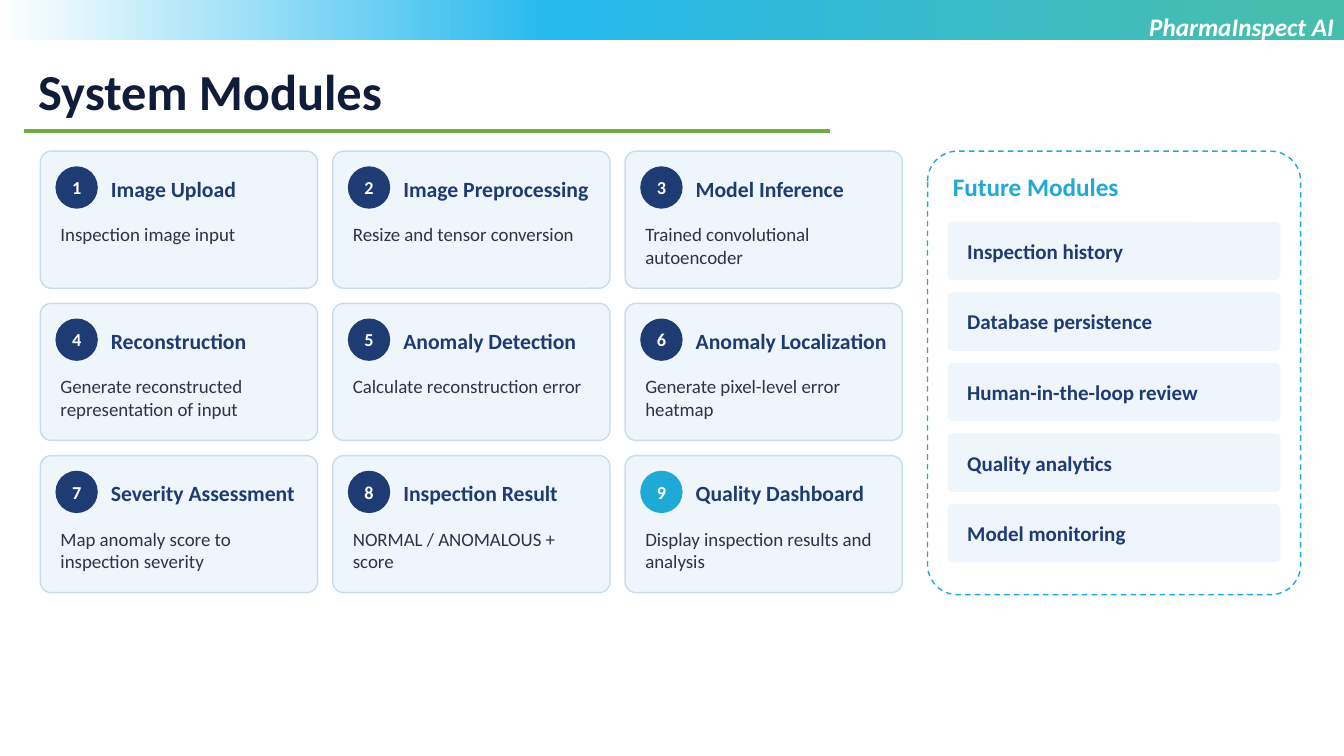
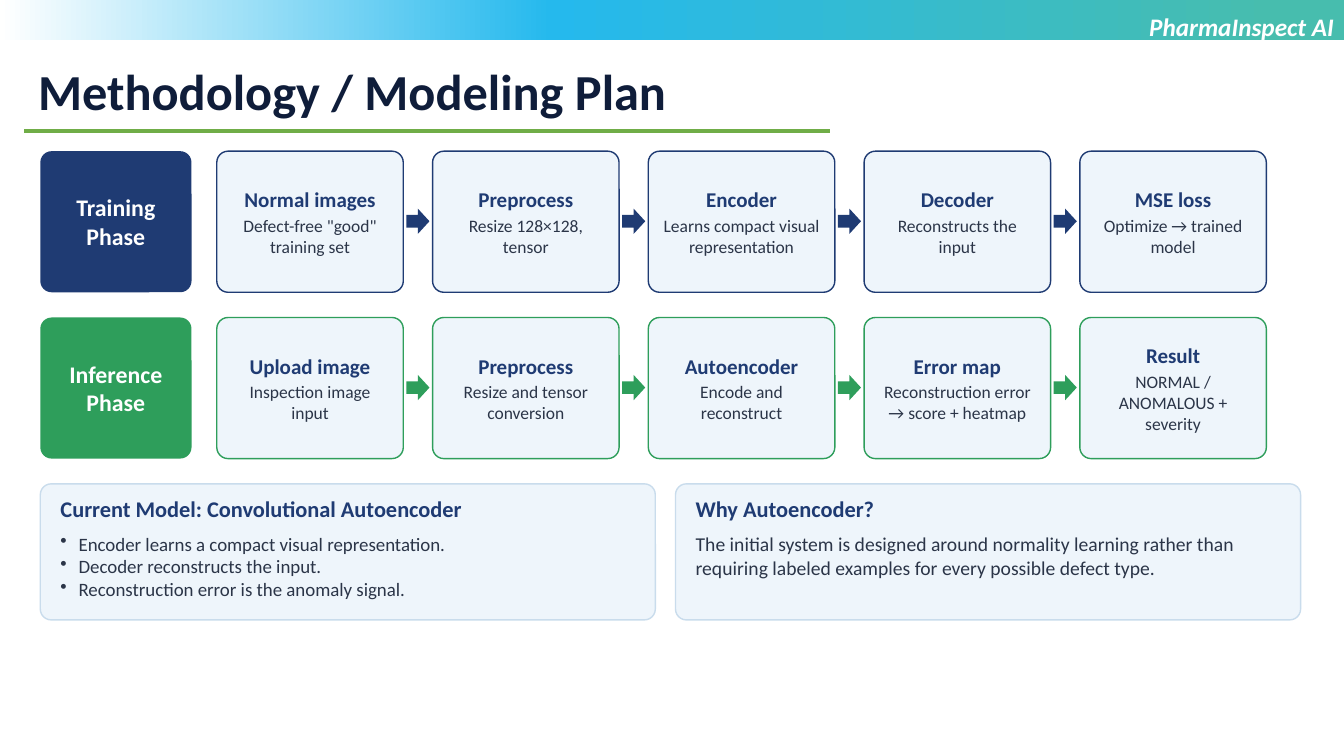
from copy import deepcopy

from lxml import etree
from pptx import Presentation
from pptx.dml.color import RGBColor
from pptx.enum.dml import MSO_LINE
from pptx.enum.shapes import MSO_CONNECTOR, MSO_SHAPE
from pptx.enum.text import MSO_ANCHOR, PP_ALIGN
from pptx.oxml.ns import qn
from pptx.util import Emu, Pt

EMU_PER_PX = 9144
SLIDE_W, SLIDE_H = 1333, 750
FONT = "Calibri"

RECT, ROUNDED = MSO_SHAPE.RECTANGLE, MSO_SHAPE.ROUNDED_RECTANGLE
OVAL, ARROW = MSO_SHAPE.OVAL, MSO_SHAPE.RIGHT_ARROW
STRAIGHT, DASH = MSO_CONNECTOR.STRAIGHT, MSO_LINE.DASH
LEFT, CENTER, RIGHT = PP_ALIGN.LEFT, PP_ALIGN.CENTER, PP_ALIGN.RIGHT
TOP, MIDDLE = MSO_ANCHOR.TOP, MSO_ANCHOR.MIDDLE

WHITE, INK, BODY = "FFFFFF", "0F1D3A", "2B3548"
NAVY, CYAN, GREEN = "1F3B73", "1FA9D6", "2E9E5B"
PALE, PALE_EDGE, RULE = "EEF5FB", "C9DCEC", "70AD47"
BAND_STOPS = [(0.05, "47BDAE"), (0.59, "25B9ED"), (1, WHITE)]

DEFAULT_INSETS = (10, 5, 10, 5)
TIGHT_INSETS = (5, 3, 5, 3)
ITEM_INSETS = (18, 3, 10, 3)
NO_INSETS = (0, 0, 0, 0)
BULLET_INDENT = 18

MODULES = [
    ("Image Upload", "Inspection image input"),
    ("Image Preprocessing", "Resize and tensor conversion"),
    ("Model Inference", "Trained convolutional autoencoder"),
    ("Reconstruction", "Generate reconstructed representation of input"),
    ("Anomaly Detection", "Calculate reconstruction error"),
    ("Anomaly Localization", "Generate pixel-level error heatmap"),
    ("Severity Assessment", "Map anomaly score to inspection severity"),
    ("Inspection Result", "NORMAL / ANOMALOUS + score"),
    ("Quality Dashboard", "Display inspection results and analysis"),
]
FUTURE_MODULES = [
    "Inspection history",
    "Database persistence",
    "Human-in-the-loop review",
    "Quality analytics",
    "Model monitoring",
]
TRAINING_STEPS = [
    ("Normal images", 'Defect-free "good" training set'),
    ("Preprocess", "Resize 128×128, tensor"),
    ("Encoder", "Learns compact visual representation"),
    ("Decoder", "Reconstructs the input"),
    ("MSE loss", "Optimize → trained model"),
]
INFERENCE_STEPS = [
    ("Upload image", "Inspection image input"),
    ("Preprocess", "Resize and tensor conversion"),
    ("Autoencoder", "Encode and reconstruct"),
    ("Error map", "Reconstruction error → score + heatmap"),
    ("Result", "NORMAL / ANOMALOUS + severity"),
]
MODEL_POINTS = [
    "Encoder learns a compact visual representation.",
    "Decoder reconstructs the input.",
    "Reconstruction error is the anomaly signal.",
]
MODEL_REASON = (
    "The initial system is designed around normality learning rather than "
    "requiring labeled examples for every possible defect type."
)


def px(*lengths):
    """Turn px lengths into EMU."""
    return [Emu(length * EMU_PER_PX) for length in lengths]


def rgb(code):
    """Turn a hex string into a colour."""
    return RGBColor.from_string(code)


def set_frame(frame, insets, anchor):
    """Set wrapping, insets and anchor of a text frame."""
    frame.word_wrap = True
    frame.vertical_anchor = anchor
    (frame.margin_left, frame.margin_top,
     frame.margin_right, frame.margin_bottom) = px(*insets)


def add_bullet(paragraph):
    """Give a paragraph a round bullet with a hanging indent."""
    properties = paragraph._p.get_or_add_pPr()
    indent = BULLET_INDENT * EMU_PER_PX
    properties.set("marL", str(indent))
    properties.set("indent", str(-indent))
    etree.SubElement(properties, qn("a:buChar")).set("char", "•")


def write(frame, text, size=13.5, color=BODY, bold=False, italic=False,
          align=LEFT, after=0, bullet=False):
    """Write one formatted paragraph at the end of a text frame."""
    paragraph = frame.paragraphs[-1]
    if paragraph.runs:
        paragraph = frame.add_paragraph()
    if bullet:
        add_bullet(paragraph)
    paragraph.alignment = align
    if after:
        paragraph.space_after = Pt(after)
    run = paragraph.add_run()
    run.text = text
    font = run.font
    font.name, font.size, font.bold, font.italic = FONT, Pt(size), bold, italic
    font.color.rgb = rgb(color)


def text_area(slide, x, y, w, h, insets=TIGHT_INSETS, anchor=TOP):
    """Add an empty text box and return its frame."""
    frame = slide.shapes.add_textbox(*px(x, y, w, h)).text_frame
    set_frame(frame, insets, anchor)
    return frame


def add_block(slide, kind, x, y, w, h, fill, edge=None, insets=DEFAULT_INSETS):
    """Add a flat preset shape with an optional outline."""
    block = slide.shapes.add_shape(kind, *px(x, y, w, h))
    block.shadow.inherit = False
    block.fill.solid()
    block.fill.fore_color.rgb = rgb(fill)
    if edge:
        block.line.color.rgb = rgb(edge)
        block.line.width = Pt(1)
    else:
        block.line.fill.background()
    if kind == ROUNDED:
        block.adjustments[0] = 0.08
    set_frame(block.text_frame, insets, MIDDLE)
    return block


def add_band(slide):
    """Add the gradient band along the top edge."""
    band = add_block(slide, RECT, 0, 0, SLIDE_W, 40, WHITE)
    band.fill.gradient()
    band.fill.gradient_angle = 180
    stop_list = band._element.spPr.find(".//" + qn("a:gsLst"))
    stop_list.append(deepcopy(stop_list[0]))
    for stop, (position, color) in zip(band.fill.gradient_stops, BAND_STOPS):
        stop.position = position
        stop.color.rgb = rgb(color)


def add_rule(slide):
    """Add the green line below the title."""
    rule = slide.shapes.add_connector(STRAIGHT, *px(24, 130, 823, 130))
    rule.line.color.rgb = rgb(RULE)
    rule.line.width = Pt(2.25)
    etree.SubElement(rule._element.spPr, qn("a:effectLst"))


def new_slide(deck, title):
    """Add a slide with the shared band, title, rule and project name."""
    slide = deck.slides.add_slide(deck.slide_layouts[6])
    add_band(slide)
    write(text_area(slide, 28, 55, 1162, 71, DEFAULT_INSETS), title,
          size=36, color=INK, bold=True)
    add_rule(slide)
    write(text_area(slide, 666, 6, 667, 71, DEFAULT_INSETS), "PharmaInspect AI",
          size=18, color=WHITE, bold=True, italic=True, align=RIGHT)
    return slide


def add_module(slide, x, y, number, name, summary, badge_color):
    """Add a numbered module card."""
    add_block(slide, ROUNDED, x, y, 275, 136, PALE, PALE_EDGE)
    badge = add_block(slide, OVAL, x + 15, y + 15, 42, 42, badge_color,
                      insets=NO_INSETS)
    write(badge.text_frame, str(number), size=13, color=WHITE, bold=True,
          align=CENTER)
    write(text_area(slide, x + 65, y + 12, 200, 50, anchor=MIDDLE), name,
          size=15.5, color=NAVY, bold=True)
    write(text_area(slide, x + 15, y + 68, 245, 60), summary)


def add_future_panel(slide, x, y):
    """Add the dashed panel that lists the future modules."""
    panel = add_block(slide, ROUNDED, x, y, 370, 440, WHITE, CYAN)
    panel.line.dash_style = DASH
    write(text_area(slide, x + 20, y + 12, 330, 45, anchor=MIDDLE),
          "Future Modules", size=18, color=CYAN, bold=True)
    for row, name in enumerate(FUTURE_MODULES):
        item = add_block(slide, ROUNDED, x + 20, y + 70 + 70 * row, 330, 58,
                         PALE, insets=ITEM_INSETS)
        write(item.text_frame, name, size=15, color=NAVY, bold=True)


def add_phase(slide, y, name, steps, color):
    """Add a phase label followed by its steps and arrows."""
    label = add_block(slide, ROUNDED, 40, y, 150, 140, color)
    write(label.text_frame, name, size=17, color=WHITE, bold=True, align=CENTER)
    step_w, pitch = 185, 214
    for column, (step, detail) in enumerate(steps):
        x = 215 + pitch * column
        if column:
            add_block(slide, ARROW, x - 26, y + 57, 23, 25, color)
        box = add_block(slide, ROUNDED, x, y, step_w, 140, PALE, color)
        write(box.text_frame, step, size=15, color=NAVY, bold=True,
              align=CENTER, after=2)
        write(box.text_frame, detail, size=12.5, align=CENTER)


def add_note(slide, x, w, heading, lines, **text_format):
    """Add a note card with a heading and body lines."""
    y = 480
    add_block(slide, ROUNDED, x, y, w, 135, PALE, PALE_EDGE)
    write(text_area(slide, x + 15, y + 5, w - 30, 40, anchor=MIDDLE), heading,
          size=16, color=NAVY, bold=True)
    body = text_area(slide, x + 15, y + 45, w - 30, 90)
    for line in lines:
        write(body, line, **text_format)


def build_modules(deck):
    """Build the slide of current and future modules."""
    slide = new_slide(deck, "System Modules")
    for index, (name, summary) in enumerate(MODULES):
        row, column = divmod(index, 3)
        is_last = index == len(MODULES) - 1
        add_module(slide, 40 + 290 * column, 150 + 151 * row, index + 1,
                   name, summary, CYAN if is_last else NAVY)
    add_future_panel(slide, 920, 150)


def build_methodology(deck):
    """Build the slide of training and inference phases."""
    slide = new_slide(deck, "Methodology / Modeling Plan")
    add_phase(slide, 150, "Training Phase", TRAINING_STEPS, NAVY)
    add_phase(slide, 315, "Inference Phase", INFERENCE_STEPS, GREEN)
    add_note(slide, 40, 610, "Current Model: Convolutional Autoencoder",
             MODEL_POINTS, bullet=True)
    add_note(slide, 670, 620, "Why Autoencoder?", [MODEL_REASON], size=14)


def main():
    """Build and save the deck."""
    deck = Presentation()
    deck.slide_width, deck.slide_height = px(SLIDE_W, SLIDE_H)
    build_modules(deck)
    build_methodology(deck)
    deck.save("out.pptx")


if __name__ == "__main__":
    main()
